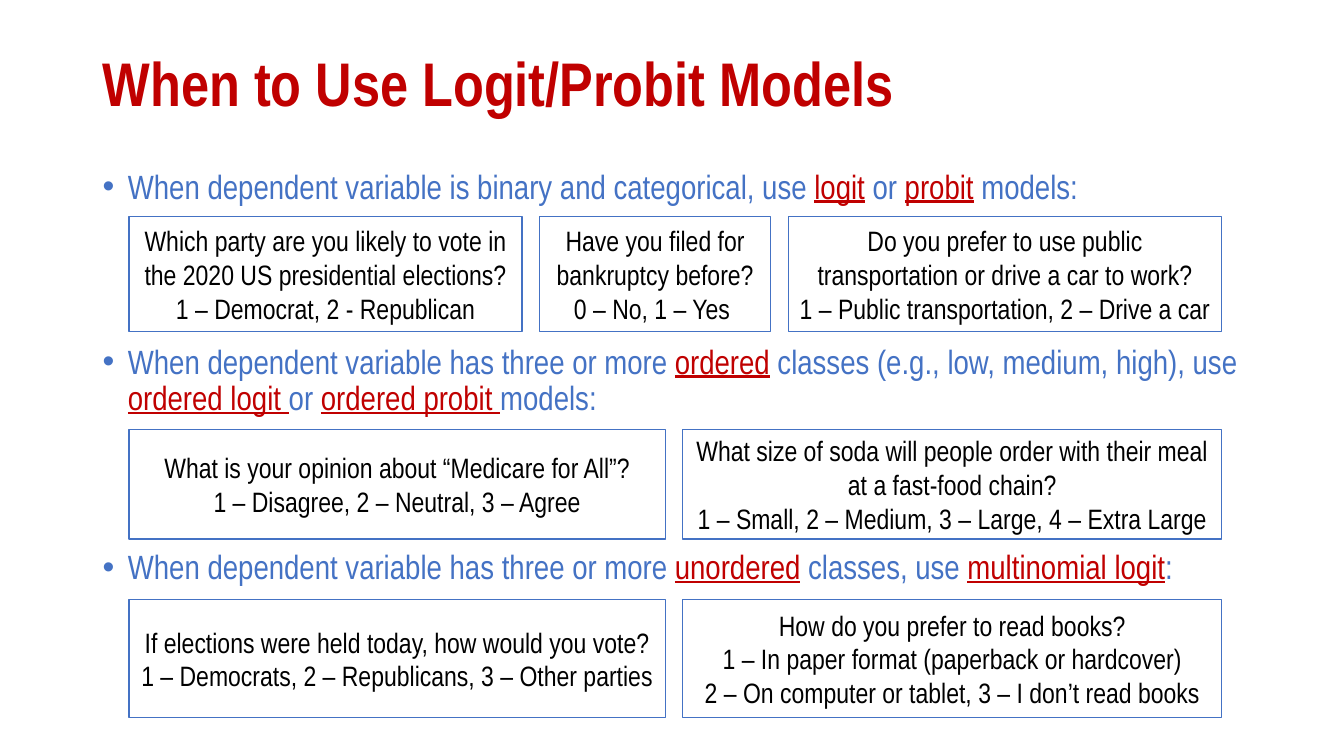
"""Build a slide on when to use logit and probit models."""
from dataclasses import dataclass

from lxml import etree
from pptx import Presentation
from pptx.dml.color import RGBColor
from pptx.enum.shapes import MSO_SHAPE
from pptx.enum.text import MSO_ANCHOR, PP_ALIGN
from pptx.oxml.ns import qn
from pptx.slide import Slide
from pptx.text.text import TextFrame, _Paragraph
from pptx.util import Inches, Pt

RECTANGLE = MSO_SHAPE.RECTANGLE
TOP, MIDDLE = MSO_ANCHOR.TOP, MSO_ANCHOR.MIDDLE
LEFT, CENTER = PP_ALIGN.LEFT, PP_ALIGN.CENTER

RED = RGBColor(0xC0, 0x00, 0x00)
BLUE = RGBColor(0x44, 0x72, 0xC4)
BLACK = RGBColor(0x00, 0x00, 0x00)
FONT = "Arial Narrow"

SLIDE_WIDTH, SLIDE_HEIGHT = Inches(13.33), Inches(7.5)
COLUMN, ROW = SLIDE_WIDTH / 100, SLIDE_HEIGHT / 100
MARGIN, CONTENT_WIDTH = 6.9, 86.27
PANEL_LEFT, PANEL_GAP = 9.6, 1.3
BULLET_INDENT = Inches(0.25)


@dataclass(frozen=True)
class Panel:
    """An example question, with its width in grid columns."""

    width: float
    lines: tuple[str, ...]


@dataclass(frozen=True)
class Case:
    """A bullet, whose every second phrase is emphasized, and its row of panels."""

    phrases: tuple[str, ...]
    space_before: float
    top: float
    height: float
    panels: tuple[Panel, ...]


CASES = (
    Case(
        ("When dependent variable is binary and categorical, use ", "logit", " or ",
         "probit", " models:"),
        10, 28.67, 15.2,
        (
            Panel(29.25, ("Which party are you likely to vote in the 2020 US presidential elections?",
                          "1 – Democrat, 2 - Republican")),
            Panel(17.2, ("Have you filed for bankruptcy before?", "0 – No, 1 – Yes ")),
            Panel(32.25, ("Do you prefer to use public transportation or drive a car to work?",
                          "1 – Public transportation, 2 – Drive a car")),
        ),
    ),
    Case(
        ("When dependent variable has three or more ", "ordered",
         " classes (e.g., low, medium, high), use ", "ordered logit ", "or ",
         "ordered probit ", "models:"),
        99, 56.8, 14.53,
        (
            Panel(39.9, ("What is your opinion about “Medicare for All”?",
                         "1 – Disagree, 2 – Neutral, 3 – Agree")),
            Panel(40.1, ("What size of soda will people order with their meal at a fast-food chain?",
                         "1 – Small, 2 – Medium, 3 – Large, 4 – Extra Large")),
        ),
    ),
    Case(
        ("When dependent variable has three or more ", "unordered", " classes, use ",
         "multinomial logit", ":"),
        95, 79.33, 15.6,
        (
            Panel(39.9, ("If elections were held today, how would you vote?",
                         "1 – Democrats, 2 – Republicans, 3 – Other parties")),
            Panel(40.1, ("How do you prefer to read books?",
                         "1 – In paper format (paperback or hardcover)",
                         "2 – On computer or tablet, 3 – I don’t read books")),
        ),
    ),
)


def grid_box(left: float, top: float, width: float, height: float) -> tuple[int, ...]:
    """Turn grid columns and rows into slide lengths."""
    return tuple(round(length) for length in
                 (left * COLUMN, top * ROW, width * COLUMN, height * ROW))


def add_run(paragraph: _Paragraph, text: str, *, size: float, color: RGBColor,
            bold: bool = False, underline: bool = False) -> None:
    """Append formatted text to a paragraph."""
    run = paragraph.add_run()
    run.text = text
    font = run.font
    font.name, font.size, font.bold, font.underline = FONT, Pt(size), bold, underline
    font.color.rgb = color


def next_paragraph(frame: TextFrame, index: int, alignment: PP_ALIGN) -> _Paragraph:
    """Return the first paragraph of a frame, or a new one after it."""
    paragraph = frame.add_paragraph() if index else frame.paragraphs[0]
    paragraph.alignment = alignment
    return paragraph


def add_text_box(slide: Slide, top: float, height: float, anchor: MSO_ANCHOR) -> TextFrame:
    """Add a wrapping text box across the content width."""
    frame = slide.shapes.add_textbox(*grid_box(MARGIN, top, CONTENT_WIDTH, height)).text_frame
    frame.word_wrap = True
    frame.vertical_anchor = anchor
    return frame


def add_bullet(paragraph: _Paragraph) -> None:
    """Give a paragraph a hanging round bullet."""
    properties = paragraph._p.get_or_add_pPr()
    properties.set("marL", str(BULLET_INDENT))
    properties.set("indent", str(-BULLET_INDENT))
    etree.SubElement(properties, qn("a:buFont")).set("typeface", "Arial")
    etree.SubElement(properties, qn("a:buChar")).set("char", "•")


def add_title(slide: Slide) -> None:
    """Add the slide title."""
    frame = add_text_box(slide, 5.33, 12.27, MIDDLE)
    paragraph = next_paragraph(frame, 0, LEFT)
    paragraph.line_spacing = 0.9
    add_run(paragraph, "When to Use Logit/Probit Models", size=44, color=RED, bold=True)


def add_bullets(slide: Slide) -> None:
    """Add one bullet per case, spaced to leave room for its panels."""
    frame = add_text_box(slide, 21.87, 56.13, TOP)
    for index, case in enumerate(CASES):
        paragraph = next_paragraph(frame, index, LEFT)
        paragraph.line_spacing = 0.9
        paragraph.space_before = Pt(case.space_before)
        add_bullet(paragraph)
        for position, phrase in enumerate(case.phrases):
            emphasized = position % 2 == 1
            add_run(paragraph, phrase, size=24, color=RED if emphasized else BLUE,
                    underline=emphasized)


def add_panels(slide: Slide, case: Case) -> None:
    """Add the outlined example questions of a case from left to right."""
    left = PANEL_LEFT
    for panel in case.panels:
        shape = slide.shapes.add_shape(
            RECTANGLE, *grid_box(left, case.top, panel.width, case.height))
        shape.shadow.inherit = False
        shape.fill.background()
        shape.line.color.rgb = BLUE
        shape.line.width = Pt(1)
        frame = shape.text_frame
        frame.word_wrap = True
        frame.vertical_anchor = MIDDLE
        for index, line in enumerate(panel.lines):
            add_run(next_paragraph(frame, index, CENTER), line, size=20, color=BLACK)
        left += panel.width + PANEL_GAP


def main() -> None:
    """Build and save the presentation."""
    presentation = Presentation()
    presentation.slide_width, presentation.slide_height = SLIDE_WIDTH, SLIDE_HEIGHT
    slide = presentation.slides.add_slide(presentation.slide_layouts[6])
    add_title(slide)
    add_bullets(slide)
    for case in CASES:
        add_panels(slide, case)
    presentation.save("out.pptx")


if __name__ == "__main__":
    main()
